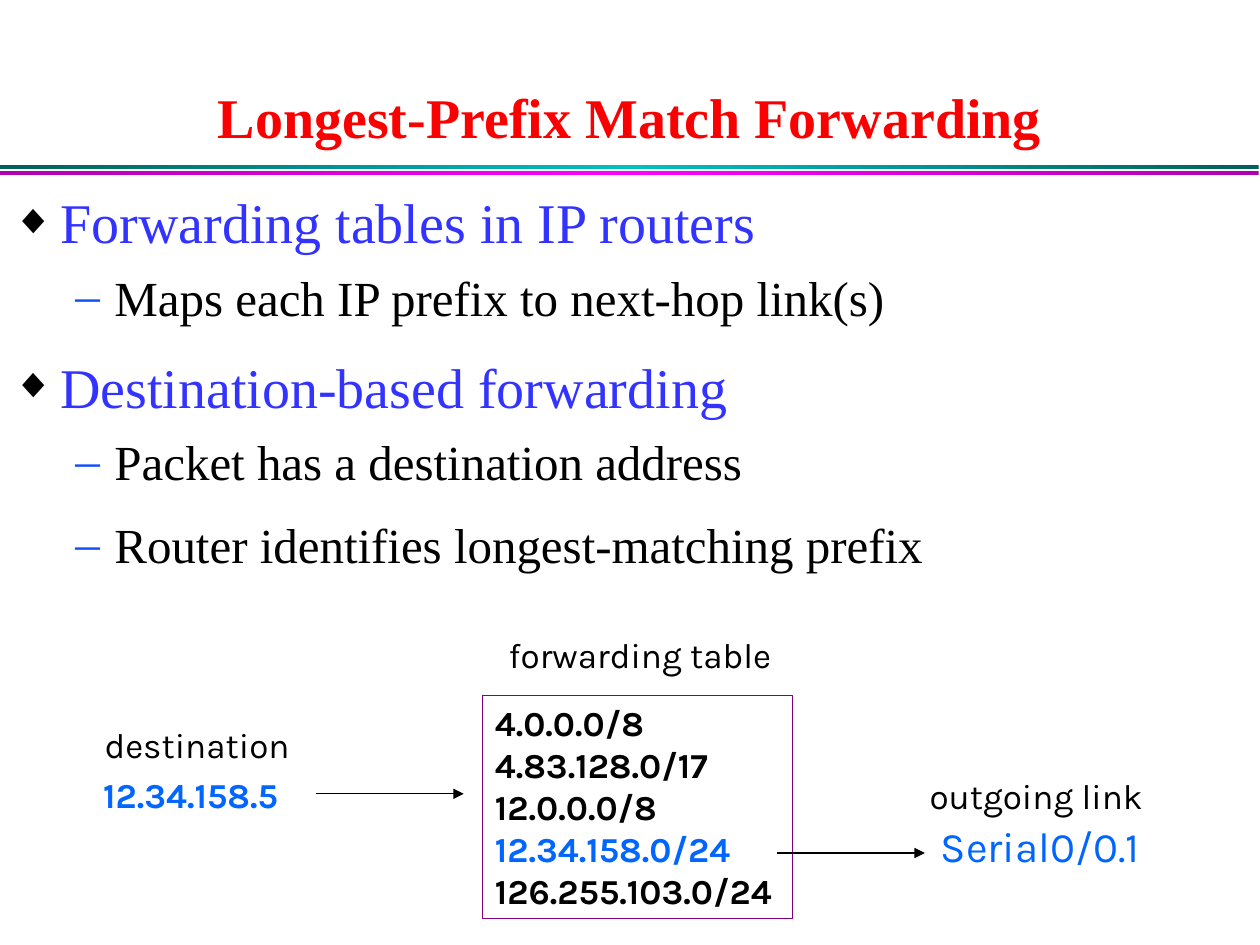
"""Build the slide on longest-prefix match forwarding."""
from dataclasses import dataclass

from lxml import etree
from pptx import Presentation
from pptx import util as u
from pptx.dml.color import RGBColor
from pptx.enum import shapes, text
from pptx.oxml import parse_xml
from pptx.oxml.ns import nsdecls, qn

PX = 9144


@dataclass(frozen=True)
class Theme:
    serif: str = "Times New Roman"
    sans: str = "Karla"
    title: str = "FA0000"
    heading: str = "3333FF"
    dash: str = "114FFB"
    ink: str = "000000"
    match: str = "0066FF"
    border: str = "800080"
    teal: tuple = ("005F5F", "00C0C0", "005F5F")
    magenta: tuple = ("B100B1", "FF00FF", "B100B1")
    head_pt: int = 32
    sub_pt: int = 28
    link_pt: int = 24
    label_pt: int = 20
    hairline: float = 0.75


T = Theme()
TITLE = "Longest-Prefix Match Forwarding"
TITLE_BOX = (11, 62, 978, 62)
BODY_BOX = (0, 144, 989, 347)
BODY = [
    (0, "Forwarding tables in IP routers"),
    (1, "Maps each IP prefix to next-hop link(s)"),
    (0, "Destination-based forwarding"),
    (1, "Packet has a destination address"),
    (1, "Router identifies longest-matching prefix"),
]
LEVELS = [
    dict(size=T.head_pt, color=T.heading, left=38, hang=38, before=8, after=0,
         bullet="◆", bullet_color=T.ink, bullet_pct=75),
    dict(size=T.sub_pt, color=T.ink, left=81, hang=31, before=7, after=7,
         bullet="–", bullet_color=T.dash, bullet_pct=100),
]
RULES = [(131, T.teal), (136, T.magenta)]
PREFIXES = ["4.0.0.0/8", "4.83.128.0/17", "12.0.0.0/8", "12.34.158.0/24", "126.255.103.0/24"]
MATCH = "12.34.158.0/24"
TABLE_BOX = (383, 552, 246, 177)
LABELS = [
    ("12.34.158.5", (72, 609, 171, 44), T.label_pt, T.match, True, "LEFT"),
    ("destination", (73, 569, 167, 44), T.label_pt, T.ink, False, "CENTER"),
    ("forwarding table", (389, 498, 238, 44), T.label_pt, T.ink, False, "CENTER"),
    ("Serial0/0.1", (733, 646, 185, 50), T.link_pt, T.match, False, "CENTER"),
    ("outgoing link", (726, 610, 193, 44), T.label_pt, T.ink, False, "CENTER"),
]
ARROWS = [(251, 630), (617, 677)]
ARROW_LENGTH = 117


def px(*values):
    return [v * PX for v in values]


def style(p, font, size, color, bold=False, align="LEFT"):
    p.alignment = text.PP_ALIGN[align]
    for r in p.runs:
        r.font.name, r.font.size, r.font.bold = font, u.Pt(size), bold
        r.font.color.rgb = RGBColor.from_string(color)


def fill_frame(sp, lines, wrap, anchor="TOP"):
    tf = sp.text_frame
    tf.text = "\n".join(lines)
    tf.word_wrap = wrap
    tf.auto_size = text.MSO_AUTO_SIZE.NONE if wrap else text.MSO_AUTO_SIZE.SHAPE_TO_FIT_TEXT
    tf.vertical_anchor = text.MSO_ANCHOR[anchor]
    return tf.paragraphs


def add_text(s, box, lines, wrap=False, anchor="TOP"):
    return fill_frame(s.shapes.add_textbox(*px(*box)), lines, wrap, anchor)


def add_rect(s, box):
    sp = s.shapes.add_shape(shapes.MSO_SHAPE.RECTANGLE, *px(*box))
    sp.shadow.inherit = False
    return sp


def add_rule(s, top, colors):
    sp = add_rect(s, (0, top, 999, 3))
    sp.line.fill.background()
    stops = "".join(f'<a:gs pos="{i * 50000}"><a:srgbClr val="{c}"/></a:gs>'
                    for i, c in enumerate(colors))
    sp._element.spPr.find(qn("a:prstGeom")).addnext(parse_xml(
        f'<a:gradFill {nsdecls("a")} rotWithShape="1"><a:gsLst>{stops}</a:gsLst>'
        '<a:lin ang="10800000" scaled="1"/></a:gradFill>'))


def add_bullet(p, level):
    pPr = p._p.get_or_add_pPr()
    pPr.set("marL", str(level["left"] * PX))
    pPr.set("indent", str(-level["hang"] * PX))
    color = etree.SubElement(pPr, qn("a:buClr"))
    etree.SubElement(color, qn("a:srgbClr"), val=level["bullet_color"])
    etree.SubElement(pPr, qn("a:buSzPct"), val=str(level["bullet_pct"] * 1000))
    etree.SubElement(pPr, qn("a:buFont"), typeface=T.serif)
    etree.SubElement(pPr, qn("a:buChar"), char=level["bullet"])


def add_body(s):
    paragraphs = add_text(s, BODY_BOX, [line for _, line in BODY], wrap=True)
    for p, (depth, _) in zip(paragraphs, BODY):
        level = LEVELS[depth]
        p.level = depth
        style(p, T.serif, level["size"], level["color"])
        p.space_before, p.space_after = u.Pt(level["before"]), u.Pt(level["after"])
        add_bullet(p, level)


def add_table_box(s):
    sp = add_rect(s, TABLE_BOX)
    sp.fill.background()
    sp.line.color.rgb = RGBColor.from_string(T.border)
    sp.line.width = u.Pt(T.hairline)
    for p, prefix in zip(fill_frame(sp, PREFIXES, wrap=False), PREFIXES):
        style(p, T.sans, T.label_pt, T.match if prefix == MATCH else T.ink, bold=True)


def add_arrow(s, x, y):
    c = s.shapes.add_connector(shapes.MSO_CONNECTOR.STRAIGHT, *px(x, y, x + ARROW_LENGTH, y))
    c.line.color.rgb = RGBColor.from_string(T.ink)
    c.line.width = u.Pt(T.hairline)
    etree.SubElement(c.line._get_or_add_ln(), qn("a:tailEnd"), type="triangle")
    etree.SubElement(c._element.spPr, qn("a:effectLst"))


def main():
    prs = Presentation()
    prs.slide_width, prs.slide_height = px(1000, 750)
    s = prs.slides.add_slide(prs.slide_layouts[6])
    for top, colors in RULES:
        add_rule(s, top, colors)
    title = add_text(s, TITLE_BOX, [TITLE], wrap=True, anchor="BOTTOM")[0]
    style(title, T.serif, T.head_pt, T.title, bold=True, align="CENTER")
    add_body(s)
    add_table_box(s)
    for label, box, size, color, bold, align in LABELS:
        style(add_text(s, box, [label])[0], T.sans, size, color, bold, align)
    for x, y in ARROWS:
        add_arrow(s, x, y)
    prs.save("out.pptx")


if __name__ == "__main__":
    main()
